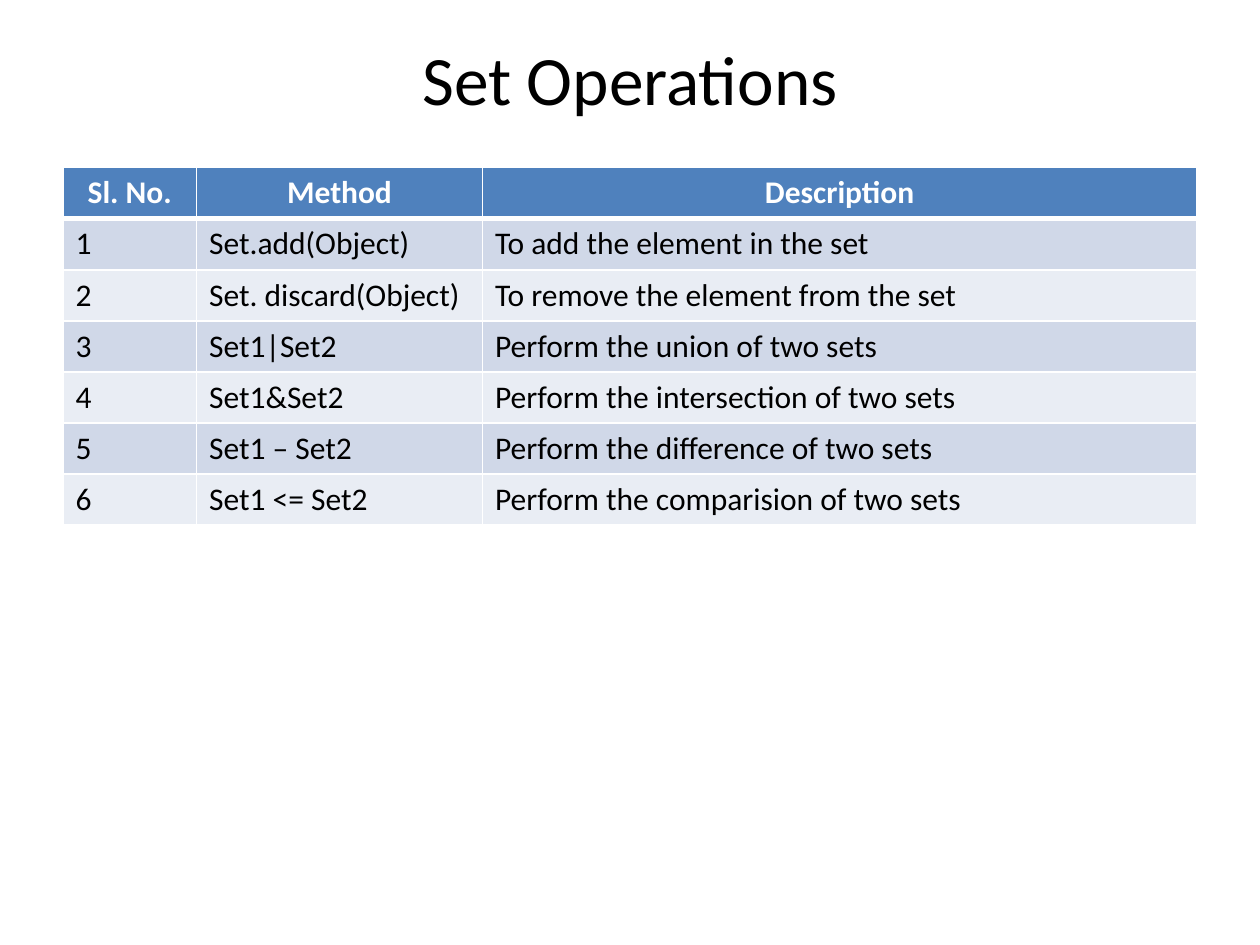
import pptx
import pptx.util
import pptx.dml.color
import pptx.enum.text
import pptx.oxml
import pptx.oxml.ns

Inches = pptx.util.Inches
Pt = pptx.util.Pt
RGBColor = pptx.dml.color.RGBColor
PP_ALIGN = pptx.enum.text.PP_ALIGN
MSO_ANCHOR = pptx.enum.text.MSO_ANCHOR

BLACK = RGBColor(0x00, 0x00, 0x00)
WHITE = RGBColor(0xFF, 0xFF, 0xFF)
HEADER_BLUE = RGBColor(0x4F, 0x81, 0xBD)
BAND_DARK = RGBColor(0xD0, 0xD8, 0xE8)
BAND_LIGHT = RGBColor(0xE9, 0xED, 0xF4)
FONT = "Calibri"

COLUMN_WIDTHS = (1.06, 2.27, 5.67)
HEADINGS = ("Sl. No.", "Method", "Description")
OPERATIONS = (
    ("Set.add(Object)", "To add the element in the set"),
    ("Set. discard(Object)", "To remove the element from the set"),
    ("Set1|Set2", "Perform the union of two sets"),
    ("Set1&Set2", "Perform the intersection of two sets"),
    ("Set1 – Set2", "Perform the difference of two sets"),
    ("Set1 <= Set2", "Perform the comparision of two sets"),
)


def set_font(p, size, color, bold=False):
    p.font.name = FONT
    p.font.size = Pt(size)
    p.font.bold = bold
    p.font.color.rgb = color


def set_borders(cell, **widths):
    tc_pr = cell._tc.get_or_add_tcPr()
    for side in "LRTB":
        width = Pt(widths.get(side, 1))
        tc_pr.append(pptx.oxml.parse_xml(
            f'<a:ln{side} {pptx.oxml.ns.nsdecls("a")} w="{width}">'
            f'<a:solidFill><a:srgbClr val="{WHITE}"/></a:solidFill></a:ln{side}>'
        ))


def add_title(slide, text, left, top, width, height):
    title = slide.shapes.title
    title.left, title.top, title.width, title.height = left, top, width, height
    tf = title.text_frame
    tf.text = text
    tf.vertical_anchor = MSO_ANCHOR.MIDDLE
    p = tf.paragraphs[0]
    p.alignment = PP_ALIGN.CENTER
    set_font(p, 39.6, BLACK)


def add_operations_table(slide, left, top, width, height):
    rows = [HEADINGS] + [(str(n), *row) for n, row in enumerate(OPERATIONS, 1)]
    table = slide.shapes.add_table(
        len(rows), len(HEADINGS), left, top, width, height).table
    for column, column_width in zip(table.columns, COLUMN_WIDTHS):
        column.width = Inches(column_width)
    for i, row in enumerate(rows):
        header = i == 0
        if header:
            fill, borders = HEADER_BLUE, {"B": 3}
        else:
            fill = BAND_DARK if i % 2 else BAND_LIGHT
            borders = {"T": 3} if i == 1 else {}
        for j, text in enumerate(row):
            cell = table.cell(i, j)
            set_borders(cell, **borders)
            cell.fill.solid()
            cell.fill.fore_color.rgb = fill
            cell.text = text
            p = cell.text_frame.paragraphs[0]
            p.alignment = PP_ALIGN.CENTER if header else PP_ALIGN.LEFT
            set_font(p, 18, WHITE if header else BLACK, header)


def main():
    prs = pptx.Presentation()
    prs.slide_width, prs.slide_height = Inches(10), Inches(7.5)
    slide = prs.slides.add_slide(prs.slide_layouts.get_by_name("Title Only"))
    add_title(slide, "Set Operations",
              Inches(0.5), Inches(0.3), Inches(9), Inches(0.64))
    add_operations_table(slide, Inches(0.5), Inches(1.33), Inches(9), Inches(2.84))
    prs.save("out.pptx")


if __name__ == "__main__":
    main()
